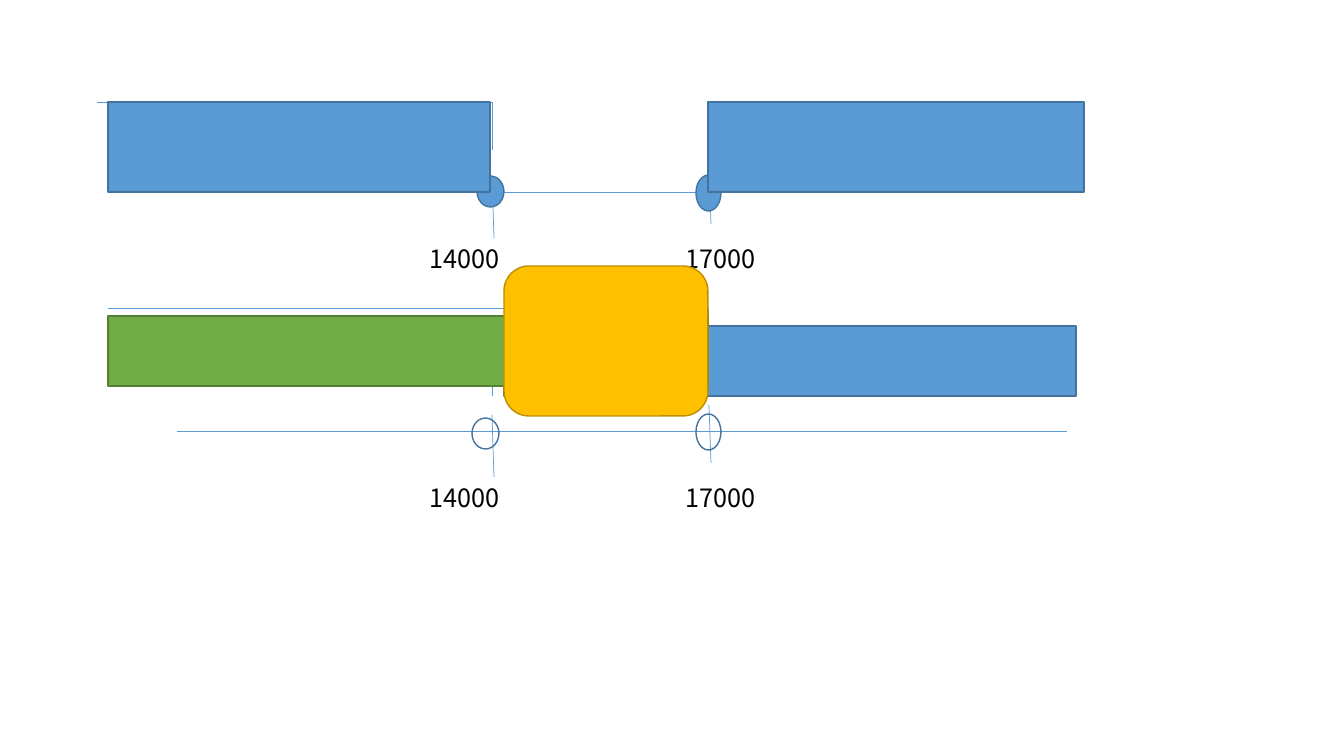
from typing import NamedTuple, Optional

from lxml import etree
from pptx import Presentation
from pptx import util as u
from pptx.dml.color import RGBColor
from pptx.enum import shapes, text
from pptx.oxml import ns

SCALE = 914400 / 100.8  # EMU per pixel
FONT = "Noto Sans CJK KR"
COLORS = {
    "blue": "5B9BD5", "blue edge": "43739E",
    "green": "70AD47", "green edge": "538035",
    "gold": "FFC000", "gold edge": "BD8E00",
    "black": "000000",
}
OVAL = shapes.MSO_SHAPE.OVAL
RECTANGLE = shapes.MSO_SHAPE.RECTANGLE
ROUNDED = shapes.MSO_SHAPE.ROUNDED_RECTANGLE


class Line(NamedTuple):
    x1: int
    y1: int
    x2: int
    y2: int


class Block(NamedTuple):
    kind: shapes.MSO_SHAPE
    left: int
    top: int
    width: int
    height: int
    fill: Optional[str] = "blue"
    edge: str = "blue edge"


def px(pixels: int) -> u.Emu:
    return u.Emu(round(pixels * SCALE))


def color(name: str) -> RGBColor:
    return RGBColor.from_string(COLORS[name])


deck = Presentation()
deck.slide_width, deck.slide_height = px(1344), px(756)
page = deck.slides.add_slide(deck.slide_layouts[6])


def draw_line(line: Line) -> None:
    connector = page.shapes.add_connector(
        shapes.MSO_CONNECTOR.STRAIGHT, *(px(value) for value in line))
    connector.line.color.rgb = color("blue")
    connector.line.width = u.Pt(0.5)
    properties = connector._element.spPr
    etree.SubElement(properties, ns.qn("a:effectLst"))


def draw_block(block: Block) -> None:
    shape = page.shapes.add_shape(
        block.kind, px(block.left), px(block.top),
        px(block.width), px(block.height))
    shape.shadow.inherit = False
    if block.fill:
        shape.fill.solid()
        shape.fill.fore_color.rgb = color(block.fill)
    else:
        shape.fill.background()
    shape.line.color.rgb = color(block.edge)
    shape.line.width = u.Pt(1)


def add_text(words: str, *, left: int, top: int, width: int = 131,
             height: int = 40, size: int = 18, ink: str = "black") -> None:
    box = page.shapes.add_textbox(px(left), px(top), px(width), px(height))
    frame = box.text_frame
    frame.word_wrap = True
    frame.auto_size = text.MSO_AUTO_SIZE.SHAPE_TO_FIT_TEXT
    span = frame.paragraphs[0].add_run()
    span.text = words
    span.font.size = u.Pt(size)
    span.font.name = FONT
    span.font.color.rgb = color(ink)


def draw_axis(y: int) -> None:
    """Number line with ticks and labels at 14000 and 17000."""
    draw_line(Line(177, y, 1067, y))
    draw_line(Line(492, y - 16, 494, y + 46))
    draw_line(Line(709, y - 26, 711, y + 32))
    add_text("14000", left=420, top=y + 46)
    add_text("17000", left=676, top=y + 46)


def draw_parts(*parts: Line | Block) -> None:
    for part in parts:
        if isinstance(part, Line):
            draw_line(part)
        else:
            draw_block(part)


# Upper diagram: two separate ranges
draw_axis(192)
draw_parts(
    Line(492, 150, 492, 102),
    Line(492, 102, 97, 102),
    Block(OVAL, 477, 176, 27, 31),
    Block(RECTANGLE, 108, 102, 382, 90),
    Line(708, 150, 708, 102),
    Line(711, 102, 1041, 102),
    Block(OVAL, 696, 175, 25, 36),
    Block(RECTANGLE, 708, 102, 376, 90),
)

# Lower diagram: overlapping ranges, with the overlap in gold
draw_axis(431)
draw_parts(
    Block(OVAL, 472, 418, 27, 31, None),
    Block(OVAL, 696, 414, 25, 36, None),
    Line(492, 396, 492, 326),
    Line(494, 326, 963, 326),
    Block(RECTANGLE, 504, 326, 572, 70),
    Line(708, 374, 708, 308),
    Line(708, 308, 108, 308),
    Block(RECTANGLE, 108, 316, 600, 70, "green", "green edge"),
    Block(ROUNDED, 504, 266, 204, 150, "gold", "gold edge"),
)

deck.save("out.pptx")
